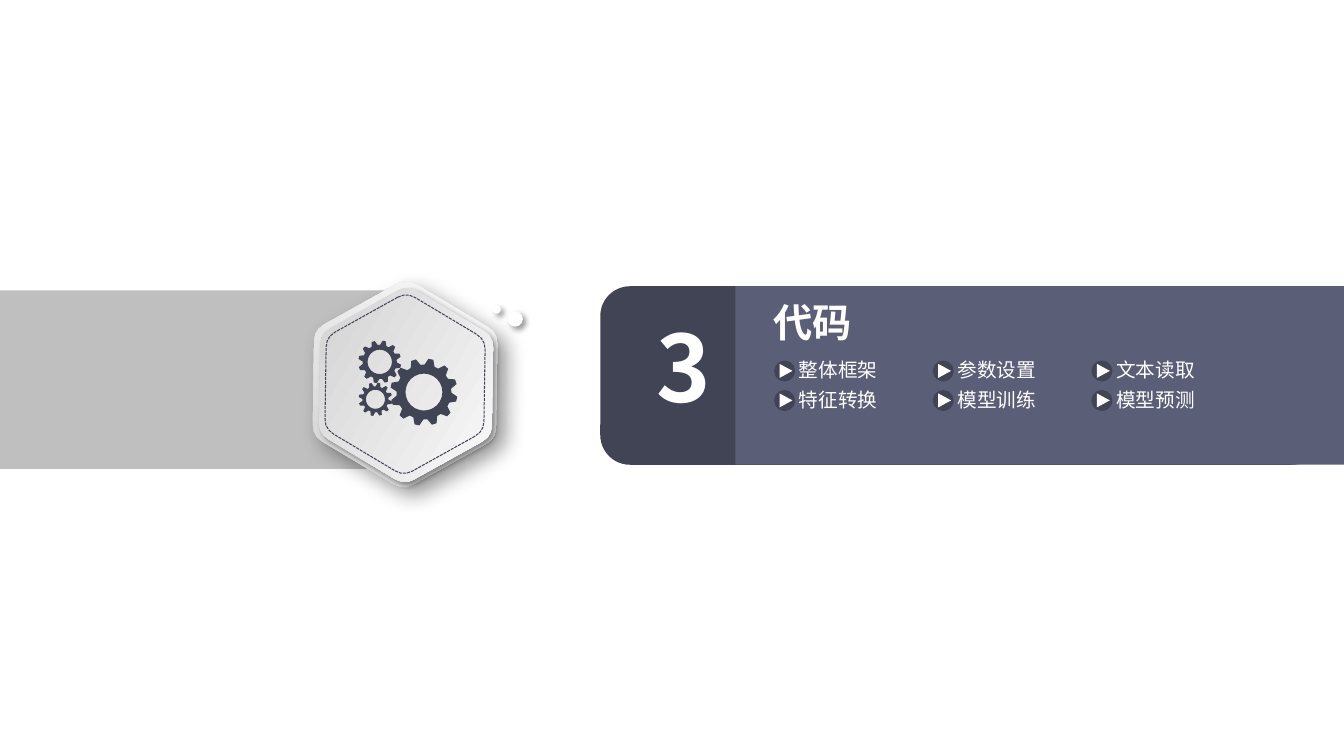
from dataclasses import dataclass
from itertools import product
from math import cos, radians, sin

from lxml.etree import SubElement
from pptx import Presentation
from pptx.dml.color import RGBColor
from pptx.enum.dml import MSO_LINE
from pptx.enum.shapes import MSO_SHAPE
from pptx.enum.text import MSO_ANCHOR, PP_ALIGN
from pptx.oxml.ns import qn
from pptx.shapes.autoshape import Shape
from pptx.slide import Slide
from pptx.util import Pt

Point = tuple[float, float]


@dataclass(frozen=True)
class Theme:
    font: str = "Noto Sans CJK SC"
    white: RGBColor = RGBColor(0xFF, 0xFF, 0xFF)
    grey: RGBColor = RGBColor(0xBF, 0xBF, 0xBF)
    dark: RGBColor = RGBColor(0x41, 0x44, 0x55)
    panel: RGBColor = RGBColor(0x5B, 0x5E, 0x77)
    badge_stops: tuple[RGBColor, RGBColor] = (
        RGBColor(0xD3, 0xD3, 0xD3), RGBColor(0xF9, 0xF9, 0xF9))
    number_size: float = 66
    title_size: float = 28
    topic_size: float = 14


@dataclass(frozen=True)
class Shadow:
    blur: float
    dist: float


@dataclass(frozen=True)
class Hexagon:
    cx: float
    cy: float
    radius: float
    cut: float


@dataclass(frozen=True)
class Gear:
    cx: float
    cy: float
    tip: float
    root: float
    hole: float


THEME = Theme()
WIDE_SHADOW = Shadow(15, 9)
SOFT_SHADOW = Shadow(4, 3)
BADGE_TILT = 0.9
BADGE_BACK = Hexagon(289.5, 274.5, 75.6, 8)
BADGE_FACE = Hexagon(290.2, 275, 71.3, 7.6)
BADGE_STITCH = Hexagon(289.5, 274.4, 65.6, 7.2)
GEARS = [
    Gear(303, 280.1, 24, 19.6, 13.2),
    Gear(271.4, 258.5, 15.3, 12.2, 8.7),
    Gear(268.3, 285.2, 12, 9.3, 6.8),
]
GEAR_TEETH = 12
GEAR_PHASE = 12
DOTS = [(352.1, 218.2, 5.8), (362.9, 222.5, 10.8)]
TOPICS = [
    ["整体框架", "参数设置", "文本读取"],
    ["特征转换", "模型训练", "模型预测"],
]
TOPIC_LEFT, TOPIC_TOP = 554.2, 258.5
TOPIC_DX, TOPIC_DY = 113.4, 21.1


def add_shadow(sp: Shape, shadow: Shadow) -> None:
    effects = sp._element.spPr.find(qn("a:effectLst"))
    outer = SubElement(effects, qn("a:outerShdw"), blurRad=str(Pt(shadow.blur)),
                       dist=str(Pt(shadow.dist)), dir="2700000",
                       algn="tl", rotWithShape="0")
    color = SubElement(outer, qn("a:srgbClr"), val="000000")
    SubElement(color, qn("a:alpha"), val="40000")


def add_shape(slide: Slide, kind: MSO_SHAPE, x: float, y: float, w: float,
              h: float, color: RGBColor) -> Shape:
    sp = slide.shapes.add_shape(kind, Pt(x), Pt(y), Pt(w), Pt(h))
    sp.shadow.inherit = False
    sp.fill.solid()
    sp.fill.fore_color.rgb = color
    sp.line.fill.background()
    return sp


def add_outline(slide: Slide, *contours: list[Point]) -> Shape:
    """Draw closed contours, given in points, as one freeform."""
    scaled = [[(Pt(x), Pt(y)) for x, y in contour] for contour in contours]
    builder = slide.shapes.build_freeform(*scaled[0][0])
    builder.add_line_segments(scaled[0][1:], close=True)
    for contour in scaled[1:]:
        builder.move_to(*contour[0])
        builder.add_line_segments(contour[1:], close=True)
    sp = builder.convert_to_shape()
    sp.shadow.inherit = False
    sp.line.fill.background()
    return sp


def polar(cx: float, cy: float, radius: float, degrees: float) -> Point:
    return cx + radius * cos(radians(degrees)), cy + radius * sin(radians(degrees))


def hexagon_points(hexagon: Hexagon, steps: int = 3) -> list[Point]:
    """Outline of a regular hexagon whose corners are quadratic curves."""
    corners = [polar(hexagon.cx, hexagon.cy, hexagon.radius, 60 * i - 90 + BADGE_TILT)
               for i in range(6)]
    ratio = hexagon.cut / hexagon.radius
    points = []
    for i, corner in enumerate(corners):
        before, after = corners[i - 1], corners[(i + 1) % 6]
        for t in (step / steps for step in range(steps + 1)):
            points.append(tuple(
                c + ratio * ((1 - t) ** 2 * (b - c) + t ** 2 * (a - c))
                for b, c, a in zip(before, corner, after)))
    return points


def gear_contours(gear: Gear) -> tuple[list[Point], list[Point]]:
    """Rim with four points to a tooth, and the hole turning the other way."""
    pitch = 360 / GEAR_TEETH
    profile = [(-0.14, gear.tip), (0.14, gear.tip), (0.36, gear.root), (0.64, gear.root)]
    rim = [polar(gear.cx, gear.cy, r, GEAR_PHASE + pitch * (tooth + offset))
           for tooth in range(GEAR_TEETH) for offset, r in profile]
    hole = [polar(gear.cx, gear.cy, gear.hole, -angle) for angle in range(0, 360, 15)]
    return rim, hole


def add_text(slide: Slide, text: str, x: float, y: float, w: float, h: float,
             size: float, bold: bool = False,
             align: PP_ALIGN = PP_ALIGN.LEFT) -> None:
    tf = slide.shapes.add_textbox(Pt(x), Pt(y), Pt(w), Pt(h)).text_frame
    tf.margin_left = tf.margin_right = tf.margin_top = tf.margin_bottom = 0
    tf.word_wrap = True
    tf.vertical_anchor = MSO_ANCHOR.MIDDLE
    p = tf.paragraphs[0]
    p.text = text
    p.alignment = align
    p.font.name = THEME.font
    p.font.size = Pt(size)
    p.font.bold = bold
    p.font.color.rgb = THEME.white
    SubElement(p._p.pPr.find(qn("a:defRPr")), qn("a:ea"), typeface=THEME.font)


def add_badge_layer(slide: Slide, hexagon: Hexagon, angle: float,
                    shadow: Shadow) -> None:
    sp = add_outline(slide, hexagon_points(hexagon))
    sp.fill.gradient()
    sp.fill.gradient_angle = angle
    for stop, color, position in zip(sp.fill.gradient_stops, THEME.badge_stops, (0, 1)):
        stop.color.rgb = color
        stop.position = position
    add_shadow(sp, shadow)


def add_badge(slide: Slide) -> None:
    add_badge_layer(slide, BADGE_BACK, 59.1, WIDE_SHADOW)
    add_badge_layer(slide, BADGE_FACE, 329.1, SOFT_SHADOW)
    stitch = add_outline(slide, hexagon_points(BADGE_STITCH))
    stitch.fill.background()
    stitch.line.color.rgb = THEME.dark
    stitch.line.width = Pt(0.75)
    stitch.line.dash_style = MSO_LINE.SQUARE_DOT
    for x, y, d in DOTS:
        add_shadow(add_shape(slide, MSO_SHAPE.OVAL, x, y, d, d, THEME.white), SOFT_SHADOW)
    for gear in GEARS:
        sp = add_outline(slide, *gear_contours(gear))
        sp.fill.solid()
        sp.fill.fore_color.rgb = THEME.dark


def add_topic(slide: Slide, text: str, x: float, y: float) -> None:
    add_text(slide, text, x + 16.7, y - 2.9, 96, 17.3, THEME.topic_size)
    disc = add_shape(slide, MSO_SHAPE.OVAL, x, y, 13, 13, THEME.dark)
    disc.line.color.rgb = THEME.dark
    disc.line.width = Pt(2)
    arrow = add_shape(slide, MSO_SHAPE.ISOSCELES_TRIANGLE, x + 2.5, y + 1.8, 10, 9.2, THEME.white)
    arrow.rotation = 90


def main() -> None:
    prs = Presentation()
    prs.slide_width, prs.slide_height = Pt(960.5), Pt(540)
    slide = prs.slides.add_slide(prs.slide_layouts[6])
    add_shape(slide, MSO_SHAPE.RECTANGLE, 0, 207.5, 293, 127.5, THEME.grey)
    add_badge(slide)
    add_shape(slide, MSO_SHAPE.ROUNDED_RECTANGLE, 429, 204.5, 516, 127.5, THEME.dark)
    add_shape(slide, MSO_SHAPE.RECTANGLE, 525.5, 204.5, 435, 127.5, THEME.panel)
    add_text(slide, "3", 463, 213, 52, 95.5, THEME.number_size, True, PP_ALIGN.CENTER)
    add_text(slide, "代码", 553, 210, 205, 40, THEME.title_size, True)
    for row, col in product(range(len(TOPICS)), range(len(TOPICS[0]))):
        add_topic(slide, TOPICS[row][col], TOPIC_LEFT + col * TOPIC_DX, TOPIC_TOP + row * TOPIC_DY)
    prs.save("out.pptx")


if __name__ == "__main__":
    main()
